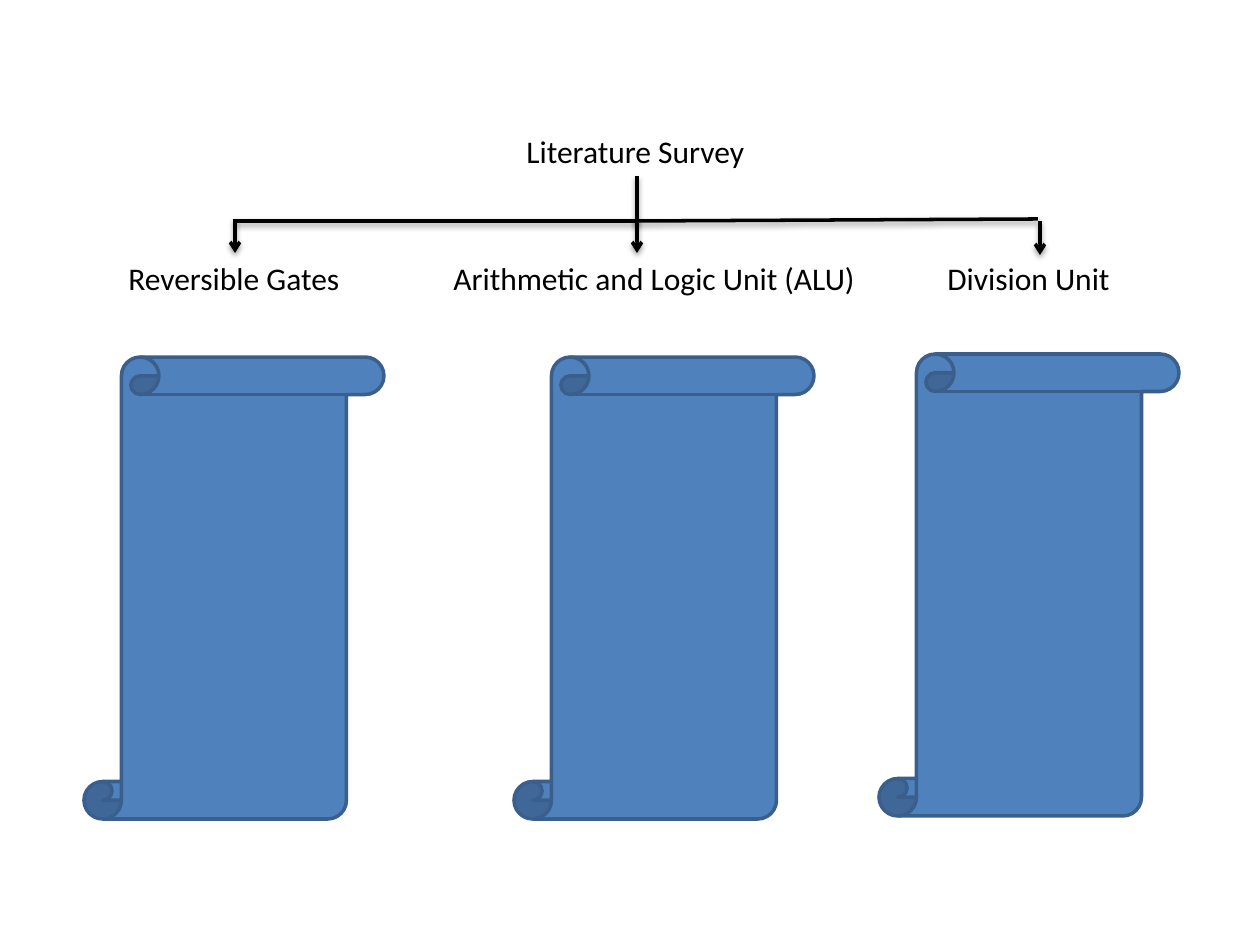
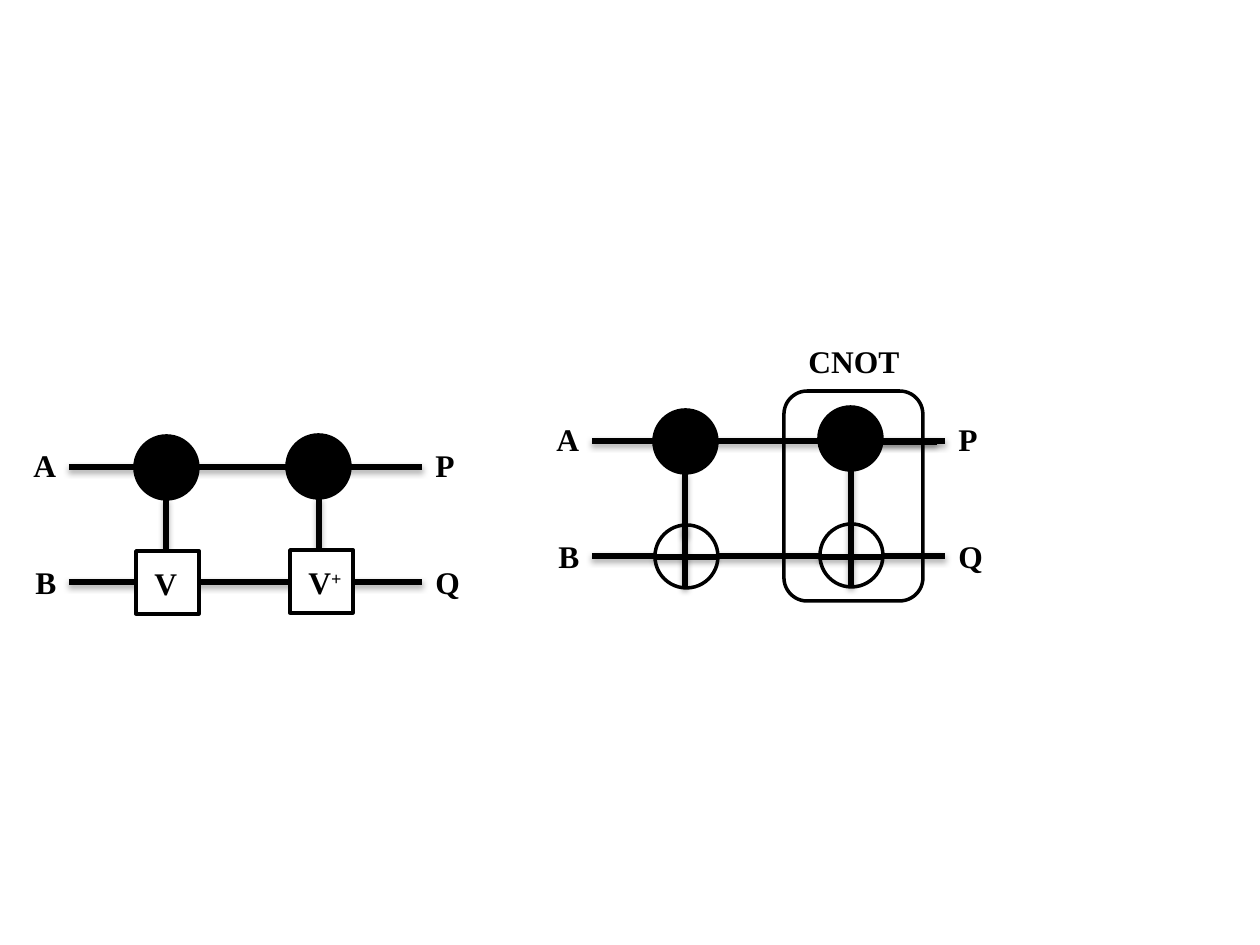
from lxml import etree
from pptx import Presentation
from pptx.dml.color import RGBColor
from pptx.enum.shapes import MSO_CONNECTOR as Connector, MSO_SHAPE as Shape
from pptx.enum.text import MSO_AUTO_SIZE as AutoSize
from pptx.oxml import parse_xml
from pptx.oxml.ns import nsdecls, qn
from pptx.util import Pt

PX = 914400 / 126
BLACK, WHITE, BLUE, NAVY = "000000", "FFFFFF", "4F81BD", "3A5F8C"
SANS, SERIF = "Calibri", "Times New Roman"
LABEL_HEIGHT = 50
GATE = 63


def add_box(slide, bounds, kind=None, fill=None, edge=BLACK, font=None, runs=()):
    left, top, width, height = [round(length * PX) for length in bounds]
    if kind is not None:
        shape = slide.shapes.add_shape(kind, left, top, width, height)
        shape.shadow.inherit = False
        shape.fill.solid()
        shape.fill.fore_color.rgb = RGBColor.from_string(fill)
        shape.line.color.rgb = RGBColor.from_string(edge)
        shape.line.width = Pt(2)
        return shape
    shape = slide.shapes.add_textbox(left, top, width, height)
    shape.text_frame.word_wrap = False
    shape.text_frame.auto_size = AutoSize.SHAPE_TO_FIT_TEXT
    paragraph = shape.text_frame.paragraphs[0]
    for index, text in enumerate(runs):
        run = paragraph.add_run()
        run.text = text
        run.font.name = font
        run.font.size = Pt(18)
        run.font.bold = font == SERIF
        run.font.color.rgb = RGBColor.from_string(BLACK)
        if index:
            run.font._element.set("baseline", "30000")
    return shape


def add_line(slide, x1, y1, x2, y2, weight, arrow=False):
    ends = [round(length * PX) for length in (x1, y1, x2, y2)]
    line = slide.shapes.add_connector(Connector.STRAIGHT, *ends)
    line.line.color.rgb = RGBColor.from_string(BLACK)
    line.line.width = Pt(weight)
    if arrow:
        etree.SubElement(line.line._get_or_add_ln(), qn("a:tailEnd"), type="arrow")
    distance, alpha = (20000, 38000) if weight == 2 else (23000, 35000)
    line._element.spPr.append(parse_xml(
        f'<a:effectLst {nsdecls("a")}><a:outerShdw blurRad="40000" dist="{distance}" '
        f'dir="5400000" rotWithShape="0"><a:srgbClr val="{BLACK}">'
        f'<a:alpha val="{alpha}"/></a:srgbClr></a:outerShdw></a:effectLst>'))
    return line


presentation = Presentation()
presentation.slide_width = round(1260 * PX)
presentation.slide_height = round(945 * PX)
blank = presentation.slide_layouts[6]

survey = presentation.slides.add_slide(blank)
topics = {}
for text, left, top, width in [
    ("Literature Survey", 514, 126, 246),
    ("Reversible Gates", 116, 253, 238),
    ("Arithmetic and Logic Unit (ALU)", 441, 253, 432),
    ("Division Unit", 935, 253, 189),
]:
    bounds = (left, top, width, LABEL_HEIGHT)
    topics[text] = add_box(survey, bounds, font=SANS, runs=[text])
for left, top in [(84, 357), (514, 357), (879, 354)]:
    add_box(survey, (left, top, 300, 462), Shape.VERTICAL_SCROLL, BLUE, NAVY)

trunk = add_line(survey, 637, 176, 637, 221, 2)
trunk.begin_connect(topics["Literature Survey"], 2)
add_line(survey, 637, 221, 235, 221, 2)
add_line(survey, 635, 221, 1038, 219, 2)
branches = [add_line(survey, x, y, x, y + 34, 2, arrow=True)
            for x, y in [(235, 219), (637, 219), (1040, 221)]]
branches[0].end_connect(topics["Reversible Gates"], 0)

circuits = presentation.slides.add_slide(blank)
add_box(circuits, (784, 391, 139, 210), Shape.ROUNDED_RECTANGLE, WHITE)
for left, top in [(69, 467), (592, 441)]:
    for y in (top, top + 115):
        add_line(circuits, left, y, left + 353, y, 3)
    for name, dx, dy, width in [
        ("A", -48, -27, 48), ("B", -46, 90, 47),
        ("P", 354, -27, 45), ("Q", 354, 90, 50),
    ]:
        bounds = (left + dx, top + dy, width, LABEL_HEIGHT)
        add_box(circuits, bounds, font=SERIF, runs=[name])
add_line(circuits, 874, 442, 937, 442, 3)

for dot_left, dot_top, box_left, stem_x, label_left, label_width, runs in [
    (135, 436, 136, 166, 142, 48, ["V"]),
    (287, 435, 290, 319, 296, 60, ["V", "+"]),
]:
    add_line(circuits, stem_x, dot_top + 126, stem_x, dot_top + GATE, 3)
    add_box(circuits, (dot_left, dot_top, GATE, GATE), Shape.OVAL, BLACK)
    add_box(circuits, (box_left, dot_top + 115, GATE, GATE), Shape.RECTANGLE, WHITE)
    bounds = (label_left, dot_top + 122, label_width, LABEL_HEIGHT)
    add_box(circuits, bounds, font=SERIF, runs=runs)

for dot_left, dot_top, target_top, stem_x, stem_end in [
    (654, 410, 525, 685, 536),
    (819, 407, 524, 851, 524),
]:
    add_box(circuits, (dot_left, dot_top, GATE, GATE), Shape.OVAL, BLACK)
    add_box(circuits, (dot_left + 1, target_top, GATE, GATE), Shape.OVAL, WHITE)
    add_line(circuits, dot_left, 557, dot_left + GATE, 557, 3)
    add_line(circuits, stem_x, target_top, stem_x, target_top + GATE, 3)
    add_line(circuits, stem_x, stem_end, stem_x, stem_end - GATE, 3)
add_box(circuits, (796, 336, 117, LABEL_HEIGHT), font=SERIF, runs=["CNOT"])

presentation.save("out.pptx")
